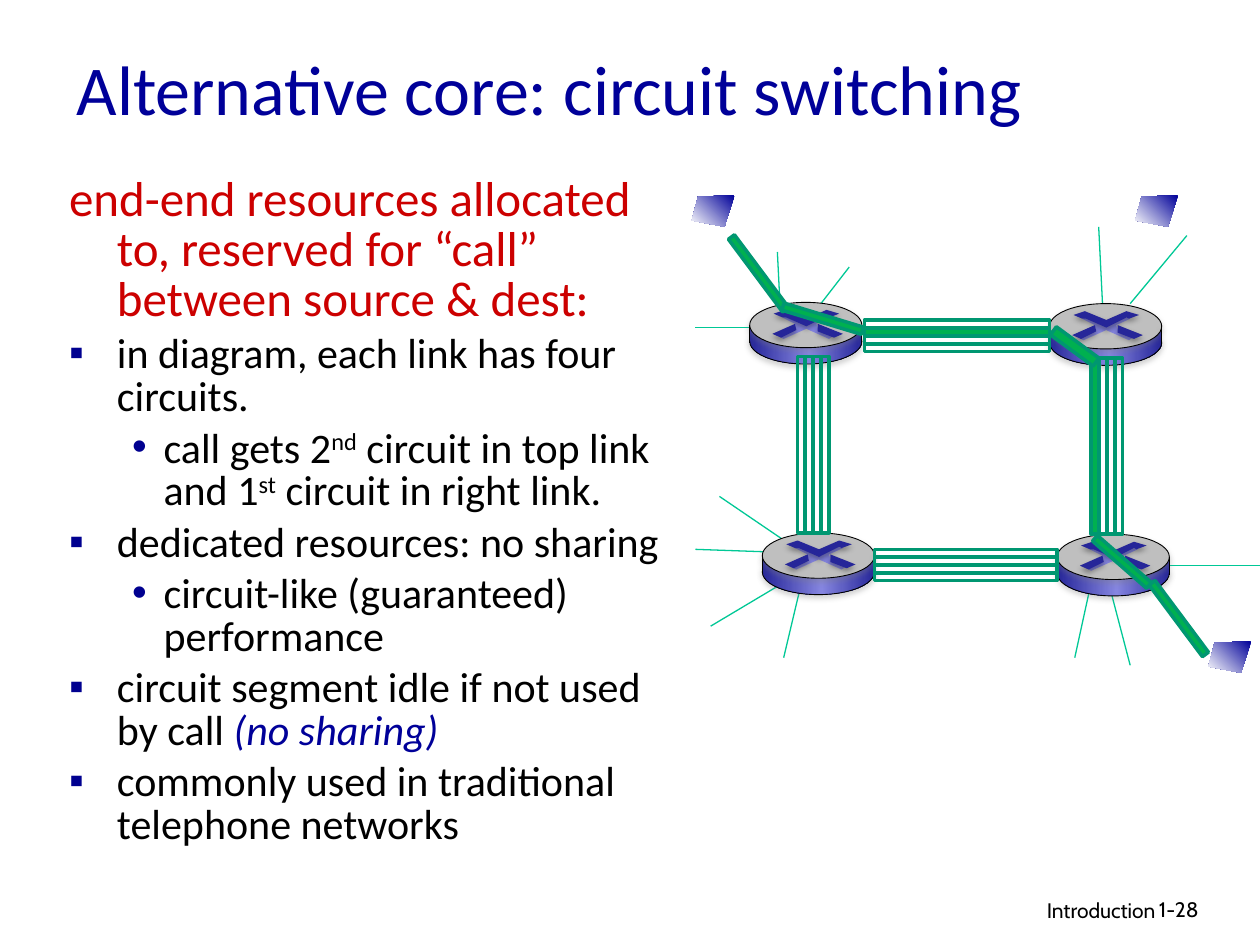
"""Build a slide on circuit switching with a four-router network diagram."""
from copy import deepcopy
from dataclasses import dataclass

from lxml import etree
from pptx import Presentation
from pptx.dml.color import RGBColor
from pptx.enum.shapes import MSO_CONNECTOR, MSO_SHAPE
from pptx.enum.text import MSO_ANCHOR, PP_ALIGN
from pptx.oxml.ns import qn
from pptx.util import Inches, Pt

LINE = MSO_CONNECTOR.STRAIGHT
RECT, OVAL = MSO_SHAPE.RECTANGLE, MSO_SHAPE.OVAL
LEFT, RIGHT = PP_ALIGN.LEFT, PP_ALIGN.RIGHT
TOP, MIDDLE = MSO_ANCHOR.TOP, MSO_ANCHOR.MIDDLE


@dataclass(frozen=True)
class Theme:
    title: str = "000099"
    lead: str = "CC0000"
    text: str = "000000"
    bullet: str = "000090"
    spoke: str = "00C896"
    link: str = "009771"
    call: str = "00B050"
    lid: str = "BFBFBF"
    dark: str = "262699"
    light: str = "8585E0"
    white: str = "FFFFFF"
    shade: str = "808080"
    head: int = 40
    big: int = 28
    body: int = 24
    small: int = 12
    font: str = "Calibri"
    foot: str = "Cabin"


theme = Theme()


def paint(item, fill=None, turn=0, edge=None, wide=2, shade=None):
    if isinstance(fill, list):
        item.fill.gradient()
        item.fill.gradient_angle = turn
        stops = item._element.spPr.find(qn("a:gradFill")).find(qn("a:gsLst"))
        if len(fill) == 3:
            stops.insert(1, deepcopy(stops[0]))
        for stop, (place, color) in zip(item.fill.gradient_stops, fill):
            stop.position = place
            stop.color.rgb = RGBColor.from_string(color)
    elif fill:
        item.fill.solid()
        item.fill.fore_color.rgb = RGBColor.from_string(fill)
    elif hasattr(item, "fill"):
        item.fill.background()
    if edge:
        item.line.color.rgb = RGBColor.from_string(edge)
        item.line.width = Pt(wide)
    else:
        item.line.fill.background()
    glow = etree.SubElement(item._element.spPr, qn("a:effectLst"))
    if shade:
        drop = etree.SubElement(glow, qn("a:outerShdw"), blurRad=str(Pt(3.1)),
                                dist=str(Pt(1.8)), dir="5400000", rotWithShape="0")
        tint = etree.SubElement(drop, qn("a:srgbClr"), val=shade)
        etree.SubElement(tint, qn("a:alpha"), val="35000")


def write(area, paras, size=theme.body, color=theme.text, font=theme.font,
          align=LEFT, anchor=TOP, pitch=None):
    frame = slide.shapes.add_textbox(*map(Inches, area)).text_frame
    frame.word_wrap = True
    frame.vertical_anchor = anchor
    for i, (mark, runs) in enumerate(paras):
        para = frame.paragraphs[0] if i == 0 else frame.add_paragraph()
        para.alignment = align
        if pitch:
            para.line_spacing = pitch
            para.space_before = Pt(size * 0.2 if i else 0)
        if mark:
            deep = mark == "•"
            para.level = int(deep)
            props = para._p.get_or_add_pPr()
            props.set("marL", str(Inches(0.75 if deep else 0.38)))
            props.set("indent", str(Inches(-0.25 if deep else -0.38)))
            if mark == "none":
                etree.SubElement(props, qn("a:buNone"))
            else:
                tint = etree.SubElement(props, qn("a:buClr"))
                etree.SubElement(tint, qn("a:srgbClr"), val=theme.bullet)
                etree.SubElement(props, qn("a:buFont"), typeface="Arial")
                etree.SubElement(props, qn("a:buChar"), char=mark)
        for words, look in runs:
            run = para.add_run()
            run.text = words
            run.font.name = font
            run.font.size = Pt(look.get("size", size))
            run.font.italic = look.get("italic", False)
            run.font.color.rgb = RGBColor.from_string(look.get("color", color))
            if "raise" in look:
                run._r.get_or_add_rPr().set("baseline", look["raise"])


deck = Presentation()
deck.slide_width, deck.slide_height = Inches(10), Inches(7.5)
slide = deck.slides.add_slide(deck.slide_layouts[6])
shapes = slide.shapes

write((0.51, 0.3, 8.5, 0.79), [(None, [("Alternative core: circuit switching", {})])],
      size=theme.head, color=theme.title, anchor=MIDDLE)
up = {"raise": "30000"}
write((0.45, 1.35, 4.88, 5.08), [
    ("none", [("end-end resources allocated to, reserved for “call” between source & dest:",
               {"size": theme.big, "color": theme.lead})]),
    ("▪", [("in diagram, each link has four circuits.", {})]),
    ("•", [("call gets 2", {}), ("nd", up), (" circuit in top link and 1", {}),
           ("st", up), (" circuit in right link.", {})]),
    ("▪", [("dedicated resources: no sharing", {})]),
    ("•", [("circuit-like (guaranteed) performance", {})]),
    ("▪", [("circuit segment idle if not used by call ", {}),
           ("(no sharing)", {"italic": True, "color": theme.title})]),
    ("▪", [("commonly used in traditional telephone networks", {})]),
], pitch=0.85)
write((6.1, 7.07, 3.17, 0.31), [(None, [("Introduction", {})])],
      size=theme.small, font=theme.foot, align=RIGHT)
write((9.1, 7.07, 0.74, 0.3), [(None, [("1-28", {})])],
      size=theme.small, font=theme.foot)

spokes = [
    (6.17, 2, 6.2, 2.61), (6.74, 2.12, 6.36, 2.61), (5.52, 2.6, 6.03, 2.6),
    (8.97, 5.28, 8.81, 4.67), (8.53, 5.22, 8.65, 4.67), (5.52, 4.36, 6.09, 4.38),
    (5.71, 3.94, 6.21, 4.28), (5.64, 4.97, 6.21, 4.63), (6.22, 5.22, 6.35, 4.67),
    (10, 4.49, 9.23, 4.49), (8.72, 1.8, 8.75, 2.41), (9.42, 1.87, 8.97, 2.41),
]
for ends in spokes:
    paint(shapes.add_connector(LINE, *map(Inches, ends)), edge=theme.spoke, wide=0.75)

metal = [(0, theme.dark), (0.53, theme.light), (1, theme.dark)]
parts = [
    (OVAL, 0.13, 0.36, metal, theme.text, theme.shade),
    (RECT, 0.18, 0.13, metal, None, None),
    (OVAL, 0, 0.36, theme.lid, theme.text, theme.shade),
]
cross = [(0.45, 0.21), (0.27, 0.29), (0.23, 0.27), (0.37, 0.22), (0.36, 0.17),
         (0.26, 0.12), (0.29, 0.11), (0.45, 0.18), (0.6, 0.11), (0.64, 0.12),
         (0.53, 0.17), (0.55, 0.23), (0.66, 0.27), (0.63, 0.29)]
crest = [(0.19, 0.09), (0.28, 0.06), (0.45, 0.13), (0.61, 0.06), (0.71, 0.09),
         (0.63, 0.12), (0.61, 0.11), (0.45, 0.19), (0.29, 0.12), (0.26, 0.12)]
east = [(0.54, 0.17), (0.74, 0.25), (0.67, 0.28), (0.54, 0.23)]
west = [(0.36, 0.17), (0.37, 0.22), (0.25, 0.28), (0.18, 0.25)]
icon = [(cross, theme.light, None)]
icon += [(arm, theme.dark, theme.text) for arm in (crest, east, west)]
for x, y in [(5.95, 2.4), (8.33, 2.41), (8.39, 4.24), (6.05, 4.23)]:
    for kind, drop, high, fill, edge, shade in parts:
        part = shapes.add_shape(kind, Inches(x), Inches(y + drop), Inches(0.89), Inches(high))
        paint(part, fill, edge=edge, wide=0.5, shade=shade)
    for points, fill, shade in icon:
        spots = [(Inches(x + dx), Inches(y + dy)) for dx, dy in points]
        path = shapes.build_freeform(*spots[0])
        path.add_line_segments(spots[1:])
        paint(path.convert_to_shape(), fill, shade=shade)
    for side in (x, x + 0.89):
        wall = shapes.add_connector(LINE, *map(Inches, (side, y + 0.32, side, y + 0.18)))
        paint(wall, edge=theme.text, wide=0.5, shade=theme.shade)

host = [(0.34, 0), (0.05, 0.01), (0, 0.2), (0.26, 0.25)]
for x, y in [(5.49, 1.55), (9.59, 5.09), (9.01, 1.55)]:
    spots = [(Inches(x + dx), Inches(y + dy)) for dx, dy in host]
    path = shapes.build_freeform(*spots[0])
    path.add_line_segments(spots[1:])
    paint(path.convert_to_shape(), [(0, theme.title), (1, theme.white)], turn=225)

links = [(6.86, 2.54, 1.47, 0, 1), (5.66, 3.5, 1.4, 90, None),
         (6.94, 4.36, 1.45, 0, None), (7.99, 3.51, 1.4, 90, 0)]
lanes = []
for x, y, long, turn, used in links:
    for i in range(4):
        step = i * 0.063
        lanes.append((x + step if turn else x, y if turn else y + step,
                      long, 0.06, turn, i == used))
lanes.sort(key=lambda lane: lane[-1])
lanes += [(5.66, 2.14, 0.72, 0.06, 53.3, True), (9, 4.88, 0.71, 0.06, 53.3, True),
          (6.2, 2.5, 0.66, 0.06, 16.9, True), (8.62, 4.43, 0.57, 0.06, 41.1, True),
          (8.32, 2.71, 0.42, 0.08, 36.3, True)]
for x, y, long, high, turn, busy in lanes:
    lane = shapes.add_shape(RECT, *map(Inches, (x, y, long, high)))
    lane.rotation = turn
    paint(lane, theme.call if busy else None, edge=theme.link)

deck.save("out.pptx")
